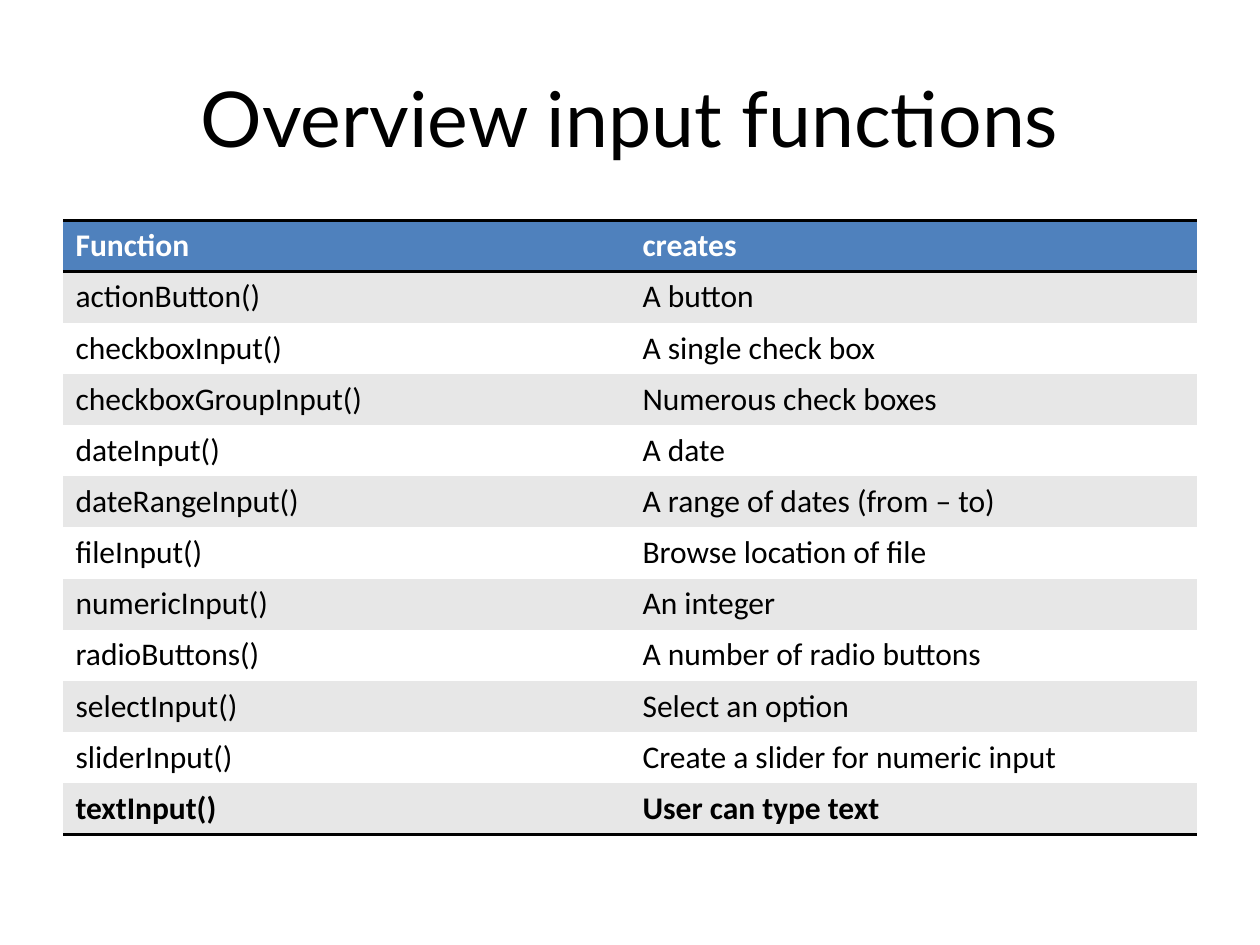
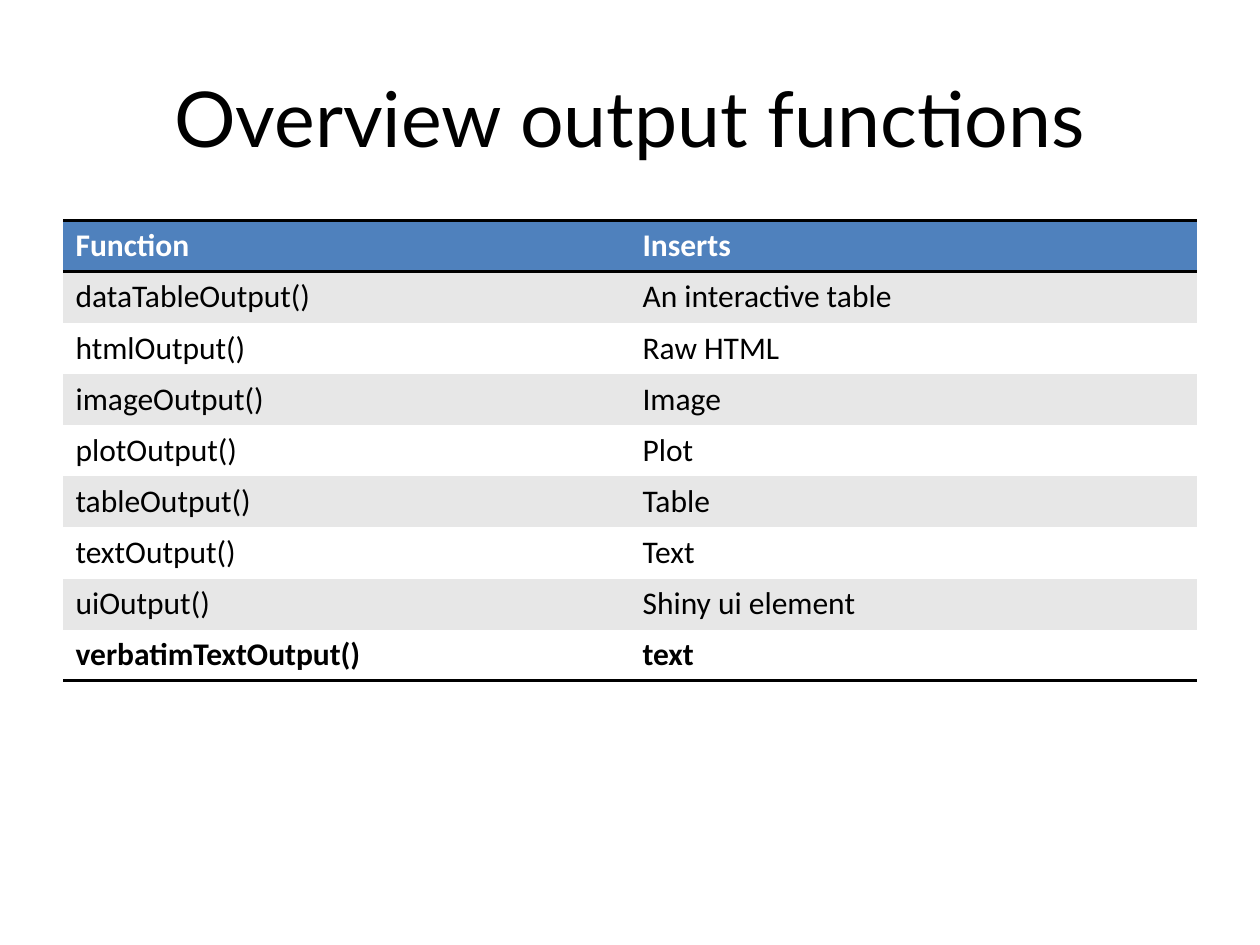
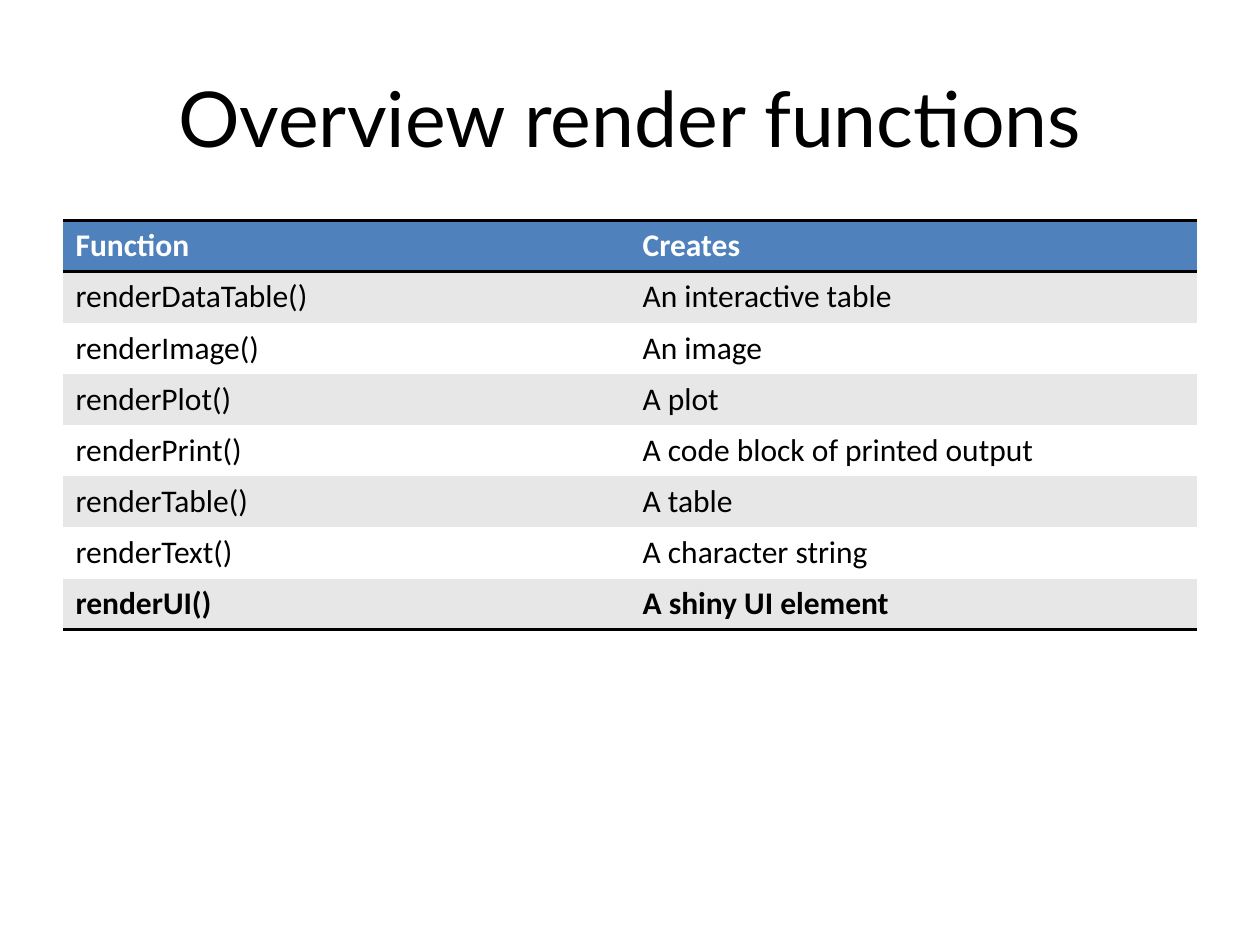
"""Build three slides that list input, output and render functions in tables."""
from typing import NamedTuple

from lxml import etree
from pptx import Presentation
from pptx.dml.color import RGBColor
from pptx.enum.text import MSO_ANCHOR, PP_ALIGN
from pptx.oxml.ns import qn
from pptx.presentation import Presentation as PresentationType
from pptx.slide import Slide
from pptx.table import _Cell
from pptx.text.text import _Paragraph
from pptx.util import Emu, Pt

MIDDLE = MSO_ANCHOR.MIDDLE
CENTER = PP_ALIGN.CENTER

BLACK = RGBColor(0x00, 0x00, 0x00)
WHITE = RGBColor(0xFF, 0xFF, 0xFF)
HEADER_BLUE = RGBColor(0x4F, 0x81, 0xBD)
BAND_GREY = RGBColor(0xE7, 0xE7, 0xE7)

TITLE_FONT = "Lato"
TABLE_FONT = "Calibri"
TITLE_SIZE = 44
TABLE_SIZE = 18
RULE_WIDTH = Pt(2)
PLAIN_TABLE_STYLE = "{2D5ABB26-0587-4C30-8999-92F81FD0307C}"

EMU_PER_PX = 9525
SLIDE_WIDTH, SLIDE_HEIGHT = 960, 720
MARGIN = 48
CONTENT_WIDTH = SLIDE_WIDTH - 2 * MARGIN
TITLE_TOP, TITLE_HEIGHT = 29, 120
TABLE_TOP, ROW_HEIGHT = 168, 39


class Entry(NamedTuple):
    function: str
    result: str


class Overview(NamedTuple):
    title: str
    header: Entry
    entries: list[Entry]


OVERVIEWS = [
    Overview("Overview input functions", Entry("Function", "creates"), [
        Entry("actionButton()", "A button"),
        Entry("checkboxInput()", "A single check box"),
        Entry("checkboxGroupInput()", "Numerous check boxes"),
        Entry("dateInput()", "A date"),
        Entry("dateRangeInput()", "A range of dates (from – to)"),
        Entry("fileInput()", "Browse location of file"),
        Entry("numericInput()", "An integer"),
        Entry("radioButtons()", "A number of radio buttons"),
        Entry("selectInput()", "Select an option"),
        Entry("sliderInput()", "Create a slider for numeric input"),
        Entry("textInput()", "User can type text"),
    ]),
    Overview("Overview output functions", Entry("Function", "Inserts"), [
        Entry("dataTableOutput()", "An interactive table"),
        Entry("htmlOutput()", "Raw HTML"),
        Entry("imageOutput()", "Image"),
        Entry("plotOutput()", "Plot"),
        Entry("tableOutput()", "Table"),
        Entry("textOutput()", "Text"),
        Entry("uiOutput()", "Shiny ui element"),
        Entry("verbatimTextOutput()", "text"),
    ]),
    Overview("Overview render functions", Entry("Function", "Creates"), [
        Entry("renderDataTable()", "An interactive table"),
        Entry("renderImage()", "An image"),
        Entry("renderPlot()", "A plot"),
        Entry("renderPrint()", "A code block of printed output"),
        Entry("renderTable()", "A table"),
        Entry("renderText()", "A character string"),
        Entry("renderUI()", "A shiny UI element"),
    ]),
]


def px(length: int) -> Emu:
    return Emu(length * EMU_PER_PX)


def add_run(paragraph: _Paragraph, text: str, font: str, size: int,
            color: RGBColor = BLACK, bold: bool = False) -> None:
    run = paragraph.add_run()
    run.text = text
    run.font.name = font
    run.font.size = Pt(size)
    run.font.bold = bold
    run.font.color.rgb = color


def add_title(slide: Slide, text: str) -> None:
    shape = slide.shapes.add_textbox(
        px(MARGIN), px(TITLE_TOP), px(CONTENT_WIDTH), px(TITLE_HEIGHT))
    frame = shape.text_frame
    frame.word_wrap = True
    frame.vertical_anchor = MIDDLE
    paragraph = frame.paragraphs[0]
    paragraph.alignment = CENTER
    add_run(paragraph, text, TITLE_FONT, TITLE_SIZE)


def add_rule(cell: _Cell, side: str) -> None:
    properties = cell._tc.get_or_add_tcPr()
    line = etree.SubElement(properties, qn(f"a:{side}"), w=str(RULE_WIDTH))
    fill = etree.SubElement(line, qn("a:solidFill"))
    etree.SubElement(fill, qn("a:srgbClr"), val=str(BLACK))


def fill_cell(cell: _Cell, text: str, row: int, last_row: int) -> None:
    is_header = row == 0
    is_last = row == last_row
    if is_header:
        add_rule(cell, "lnT")
    if is_header or is_last:
        add_rule(cell, "lnB")
    band = BAND_GREY if row % 2 else WHITE
    cell.fill.solid()
    cell.fill.fore_color.rgb = HEADER_BLUE if is_header else band
    add_run(cell.text_frame.paragraphs[0], text, TABLE_FONT, TABLE_SIZE,
            WHITE if is_header else BLACK, is_header or is_last)


def add_function_table(slide: Slide, overview: Overview) -> None:
    rows = [overview.header, *overview.entries]
    table = slide.shapes.add_table(
        len(rows), len(overview.header), px(MARGIN), px(TABLE_TOP),
        px(CONTENT_WIDTH), px(ROW_HEIGHT * len(rows))).table
    table.horz_banding = False
    table._tbl.tblPr.find(qn("a:tableStyleId")).text = PLAIN_TABLE_STYLE
    for row, entry in enumerate(rows):
        for column, text in enumerate(entry):
            fill_cell(table.cell(row, column), text, row, len(rows) - 1)


def add_overview(presentation: PresentationType, overview: Overview) -> None:
    slide = presentation.slides.add_slide(presentation.slide_layouts[6])
    add_title(slide, overview.title)
    add_function_table(slide, overview)


def main() -> None:
    presentation = Presentation()
    presentation.slide_width = px(SLIDE_WIDTH)
    presentation.slide_height = px(SLIDE_HEIGHT)
    for overview in OVERVIEWS:
        add_overview(presentation, overview)
    presentation.save("out.pptx")


if __name__ == "__main__":
    main()
